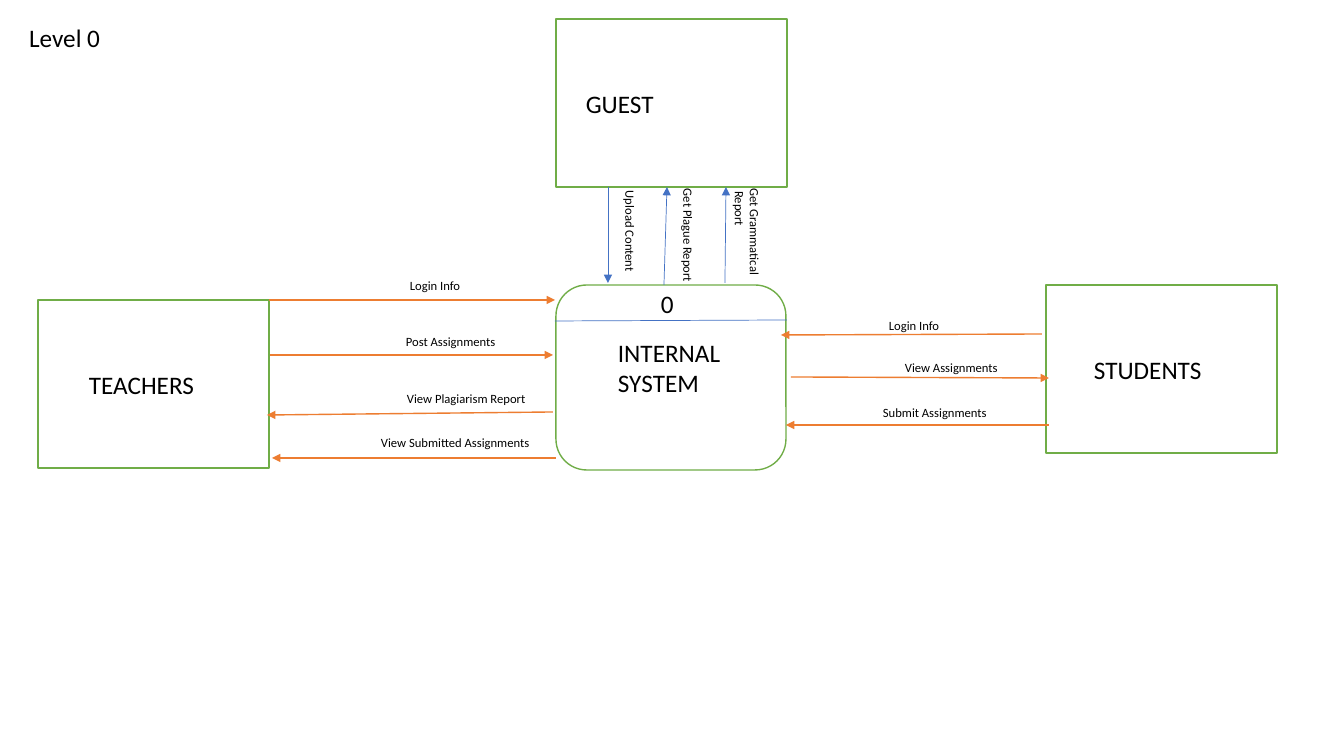
from pptx import Presentation
from pptx.dml.color import RGBColor
from pptx.enum.shapes import MSO_CONNECTOR, MSO_SHAPE
from pptx.enum.text import MSO_ANCHOR, PP_ALIGN
from pptx.oxml.ns import qn
from pptx.util import Pt
from lxml.etree import SubElement

WHITE = RGBColor(0xFF, 0xFF, 0xFF)
BLACK = RGBColor(0, 0, 0)
GREEN = RGBColor(0x70, 0xAD, 0x47)
ORANGE = RGBColor(0xED, 0x7D, 0x31)
BLUE = RGBColor(0x44, 0x72, 0xC4)
SCALE = 914400 / 100.8  # EMU per pixel


def px(*nums):
    return [round(n * SCALE) for n in nums]


def style(frame, size):
    frame.word_wrap = True
    frame.vertical_anchor = MSO_ANCHOR.TOP
    for para in frame.paragraphs:
        para.alignment = PP_ALIGN.LEFT
        para.font.name = "Calibri"
        para.font.size = Pt(size)
        para.font.color.rgb = BLACK


def label(slide, box, text, size, turn=0):
    item = slide.shapes.add_textbox(*px(*box))
    item.rotation = turn
    item.text_frame.text = text
    style(item.text_frame, size)


def line(slide, start, end, color, width, arrow=True):
    item = slide.shapes.add_connector(MSO_CONNECTOR.STRAIGHT, *px(*start, *end))
    item.line.color.rgb = color
    item.line.width = Pt(width)
    SubElement(item._element.spPr, qn("a:effectLst"))
    if arrow:
        SubElement(item.line._get_or_add_ln(), qn("a:tailEnd"), type="triangle")


def block(slide, box, kind):
    item = slide.shapes.add_shape(kind, *px(*box))
    item.shadow.inherit = False
    item.fill.solid()
    item.fill.fore_color.rgb = WHITE
    item.line.color.rgb = GREEN
    item.line.width = Pt(1)


def title(slide, box, text):
    item = slide.shapes.title
    item.left, item.top, item.width, item.height = px(*box)
    item.text_frame.text = text
    style(item.text_frame, 18)
    item.text_frame.paragraphs[0].line_spacing = 1.0


def system(slide, box):
    x, y, w, h = box
    block(slide, box, MSO_SHAPE.ROUNDED_RECTANGLE)
    line(slide, (x - 1, y + 36), (x + w + 1, y + 35), BLUE, 0.5, arrow=False)
    label(slide, (x + 95, y - 2, 53, 40), "0", 18)
    label(slide, (x + 52, y + 47, 193, 72), "INTERNAL SYSTEM", 18)


def entity(slide, box, name, inset, flows, color, width, turn=0):
    """Draw an outside party and its flows, all relative to its box."""
    x, y, w, h = box
    block(slide, box, MSO_SHAPE.RECTANGLE)
    label(slide, (x + inset, y + 64, 190, 40), name, 18)
    for text, start, end, (left, top, wide) in flows:
        line(slide, (x + start[0], y + start[1]), (x + end[0], y + end[1]),
             color, width)
        high = 40 if "\n" in text else 25
        label(slide, (x + left, y + top, wide, high), text, 9, turn)


# Flows: text, arrow start, arrow end, label left / top / width
GUEST = [
    ("Upload Content", (52, 168), (52, 264), (-36, 260, 221)),
    ("Get Plague Report", (108, 266), (111, 168), (22, 258, 221)),
    ("Get Grammatical\n Report", (169, 264), (170, 168), (81, 250, 221)),
]
TEACH = [
    ("Login Info", (231, 0), (517, 0), (362, -27, 106)),
    ("Post Assignments", (232, 55), (515, 55), (358, 29, 134)),
    ("View Plagiarism Report", (515, 112), (229, 115), (359, 86, 141)),
    ("View Submitted Assignments", (518, 158), (234, 158), (333, 130, 181)),
]
STUDY = [
    ("Login Info", (-4, 49), (-265, 50), (-167, 28, 141)),
    ("View Assignments", (-255, 92), (3, 93), (-151, 70, 130)),
    ("Submit Assignments", (3, 140), (-260, 140), (-173, 115, 141)),
]

deck = Presentation()
deck.slide_width, deck.slide_height = px(1344, 756)
slide = deck.slides.add_slide(deck.slide_layouts[5])

# Heading and central process
title(slide, (19, 17, 173, 40), "Level 0")
system(slide, (556, 285, 230, 185))

# Outside parties with their data flows
entity(slide, (556, 19, 231, 168), "GUEST", 20, GUEST, BLUE, 0.5, turn=90)
entity(slide, (38, 300, 231, 168), "TEACHERS", 41, TEACH, ORANGE, 1)
entity(slide, (1046, 285, 231, 168), "STUDENTS", 38, STUDY, ORANGE, 1)

deck.save("out.pptx")
